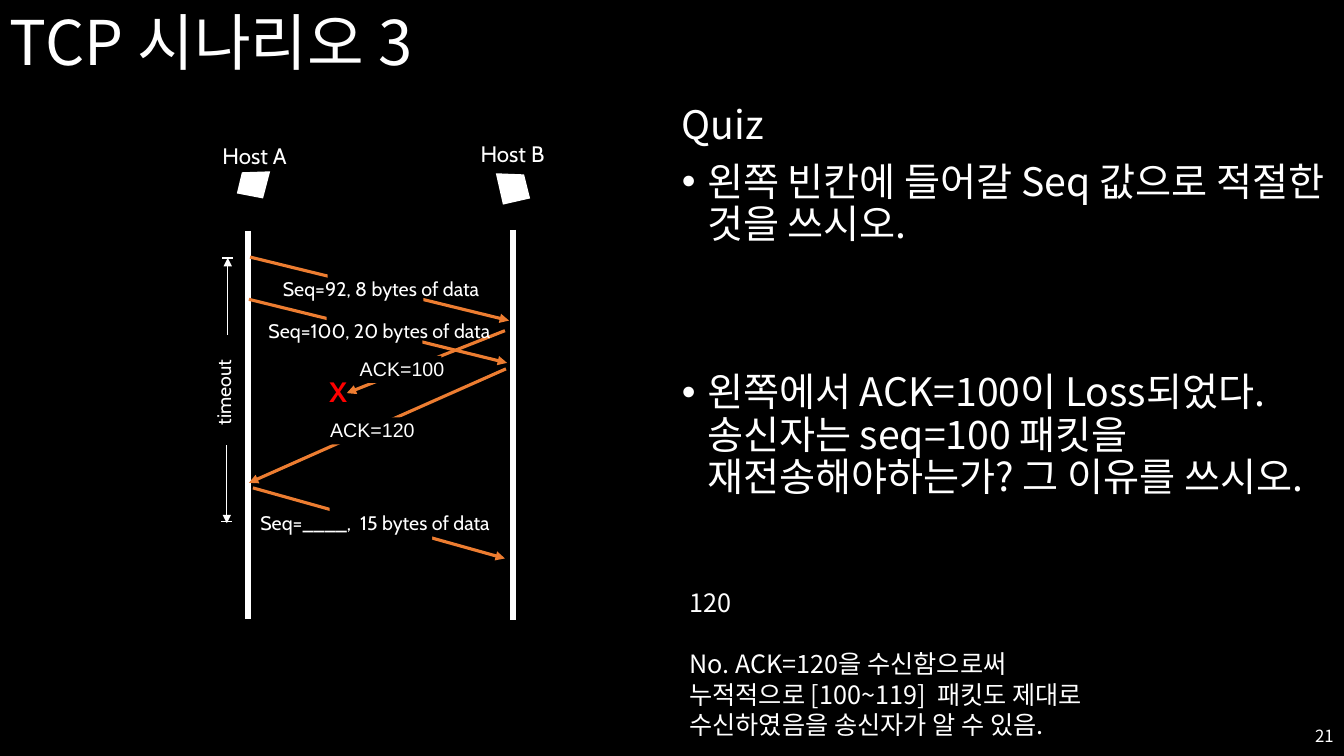
from dataclasses import dataclass

from lxml import etree
from pptx import Presentation
from pptx.dml.color import RGBColor
from pptx.enum import shapes, text
from pptx.oxml import ns
from pptx.util import Pt


@dataclass(frozen=True)
class Theme:
    back: str = "000000"
    ink: str = "FFFFFF"
    arrow: str = "ED7D31"
    loss: str = "FF0000"
    body_font: str = "Noto Sans CJK KR"
    label_font: str = "Cabin"
    ack_font: str = "Arial"
    title: int = 44
    quiz: int = 28
    loss_mark: int = 20
    answer: int = 18
    host: int = 16
    label: int = 14
    number: int = 12


T = Theme()
LEFT, CENTER, RIGHT = text.PP_ALIGN.LEFT, text.PP_ALIGN.CENTER, text.PP_ALIGN.RIGHT
TOP, MIDDLE = text.MSO_ANCHOR.TOP, text.MSO_ANCHOR.MIDDLE


def rgb(color):
    return RGBColor.from_string(color)


def add_paragraph(tf, words, size, font=T.body_font, color=T.ink, bold=False,
                  align=LEFT, spacing=1.0, before=0, bullet=False):
    p = tf.paragraphs[0] if not tf.text else tf.add_paragraph()
    p.alignment, p.line_spacing, p.space_before = align, spacing, Pt(before)
    if bullet:
        pPr = p._p.get_or_add_pPr()
        pPr.set("marL", str(Pt(18)))
        pPr.set("indent", str(-Pt(18)))
        etree.SubElement(pPr, ns.qn("a:buFont")).set("typeface", "Arial")
        etree.SubElement(pPr, ns.qn("a:buChar")).set("char", "•")
    r = p.add_run()
    r.text = words
    r.font.size, r.font.name, r.font.bold = Pt(size), font, bold
    r.font.color.rgb = rgb(color)
    etree.SubElement(r._r.get_or_add_rPr(), ns.qn("a:ea")).set("typeface", font)


class SlideBuilder:
    def __init__(self, prs):
        self.s = prs.slides.add_slide(prs.slide_layouts[6])
        fill = self.s.background.fill
        fill.solid()
        fill.fore_color.rgb = rgb(T.back)

    def box(self, x, y, w, h, anchor=TOP, wrap=True, vert=None):
        tf = self.s.shapes.add_textbox(Pt(x), Pt(y), Pt(w), Pt(h)).text_frame
        tf.word_wrap, tf.vertical_anchor = wrap, anchor
        if vert:
            tf._txBody.bodyPr.set("vert", vert)
        return tf

    def label(self, words, x, y, w, h, size=T.label, font=T.label_font, vert=None, **fmt):
        tf = self.box(x, y, w, h, wrap=False, vert=vert)
        add_paragraph(tf, words, size, font, align=CENTER, **fmt)

    def line(self, x1, y1, x2, y2, color=T.ink, width=0.75, arrow=False):
        c = self.s.shapes.add_connector(
            shapes.MSO_CONNECTOR.STRAIGHT, Pt(x1), Pt(y1), Pt(x2), Pt(y2))
        c.line.color.rgb, c.line.width = rgb(color), Pt(width)
        if arrow:
            etree.SubElement(c.line._get_or_add_ln(), ns.qn("a:tailEnd")).set("type", "triangle")
        etree.SubElement(c._element.spPr, ns.qn("a:effectLst"))

    def paint(self, sp, color):
        sp.shadow.inherit = False
        sp.fill.solid()
        sp.fill.fore_color.rgb = rgb(color)
        sp.line.fill.background()

    def mask(self, x, y, w, h):
        """Break an arrow with a background-coloured gap for its label."""
        sp = self.s.shapes.add_shape(
            shapes.MSO_SHAPE.RECTANGLE, Pt(x), Pt(y), Pt(w), Pt(h))
        self.paint(sp, T.back)

    def polygon(self, points, color=T.ink):
        (x, y), *rest = [(Pt(px), Pt(py)) for px, py in points]
        fb = self.s.shapes.build_freeform(x, y)
        fb.add_line_segments(rest, close=True)
        self.paint(fb.convert_to_shape(), color)

    def message(self, words, arrow, gap, place, font=T.label_font):
        self.line(*arrow, color=T.arrow, width=2.25, arrow=True)
        self.mask(*gap)
        self.label(words, *place, font=font)


HOSTS = [
    ("Host A", (151.2, 97.9), [(193, 122.4), (172.8, 123.1), (169.2, 138.2), (187.9, 141.8)]),
    ("Host B", (335.5, 96.5), [(354.2, 123.8), (374.4, 124.6), (378.7, 141.8), (359.3, 146.2)]),
]
LIFELINES = [(177.1, 164.9, 442.1), (366.5, 164.2, 442.8)]
MESSAGES = [
    ("Seq=____,  15 bytes of data", (180.7, 348.5, 360.7, 398.9),
     (235.4, 354.2, 73.4, 40.3), (178.6, 361.4, 178.6, 23.8), T.label_font),
    ("Seq=92, 8 bytes of data", (178.6, 183.6, 363.6, 229),
     (234, 190.1, 68.4, 31.7), (190.1, 194.4, 164.2, 23.8), T.label_font),
    ("ACK=100", (360.7, 236.2, 247.7, 280.8),
     (256.3, 254.2, 59, 19.4), (249.8, 251.3, 74.9, 23.8), T.ack_font),
    ("Seq=100, 20 bytes of data", (177.8, 213.8, 362.2, 259.2),
     (233.3, 220.3, 68.4, 31.7), (181.4, 224.6, 179.3, 23.8), T.label_font),
    ("ACK=120", (361.4, 263.5, 177.8, 344.9),
     (234.7, 298.1, 59, 19.4), (228.2, 295.2, 75.6, 24.5), T.ack_font),
]
# Each half of the timeout span: x, inner end, arrow tip, end bar height
TIMEOUT = [(162.7, 239, 184.3, 184.3), (162, 318.2, 373.7, 372.2)]


def draw_text(b):
    add_paragraph(b.box(0, 0, 960, 64.8, MIDDLE), "TCP 시나리오 3", T.title, spacing=0.9)
    quiz = b.box(480, 72, 480, 440.6)
    add_paragraph(quiz, "Quiz", T.quiz, spacing=0.9)
    add_paragraph(quiz, "왼쪽 빈칸에 들어갈 Seq 값으로 적절한 것을 쓰시오.", T.quiz,
                  spacing=0.9, before=10, bullet=True)
    add_paragraph(quiz, "왼쪽에서 ACK=100이 Loss되었다. 송신자는 seq=100 패킷을 "
                  "재전송해야하는가? 그 이유를 쓰시오.", T.quiz,
                  spacing=0.9, before=90, bullet=True)
    add_paragraph(b.box(743.8, 511.2, 216, 28.8, MIDDLE), "21", T.number, align=RIGHT)
    answer = b.box(485.3, 416.2, 393.1, 116.6)
    add_paragraph(answer, "120", T.answer)
    add_paragraph(answer, "No. ACK=120을 수신함으로써", T.answer, before=22)
    add_paragraph(answer, "누적적으로 [100~119]  패킷도 제대로 수신하였음을 "
                  "송신자가 알 수 있음.", T.answer)


def draw_sequence(b):
    for name, (x, y), icon in HOSTS:
        b.label(name, x, y, 61.2, 26.6, size=T.host)
        b.polygon(icon)
    for x, top, bottom in LIFELINES:
        b.line(x, top, x, bottom, width=4.5)
    for words, arrow, gap, place, font in MESSAGES:
        b.message(words, arrow, gap, place, font)
    b.label("X", 227.5, 264.2, 28.1, 31, size=T.loss_mark, color=T.loss, bold=True)
    b.label("timeout", 147.6, 253.4, 31, 54, vert="vert270")
    for x, inner, tip, bar in TIMEOUT:
        b.line(x, inner, x, tip, arrow=True)
        b.line(x - 4, bar, x + 4, bar)


def main():
    prs = Presentation()
    prs.slide_width, prs.slide_height = Pt(960), Pt(540)
    b = SlideBuilder(prs)
    draw_text(b)
    draw_sequence(b)
    prs.save("out.pptx")


if __name__ == "__main__":
    main()
